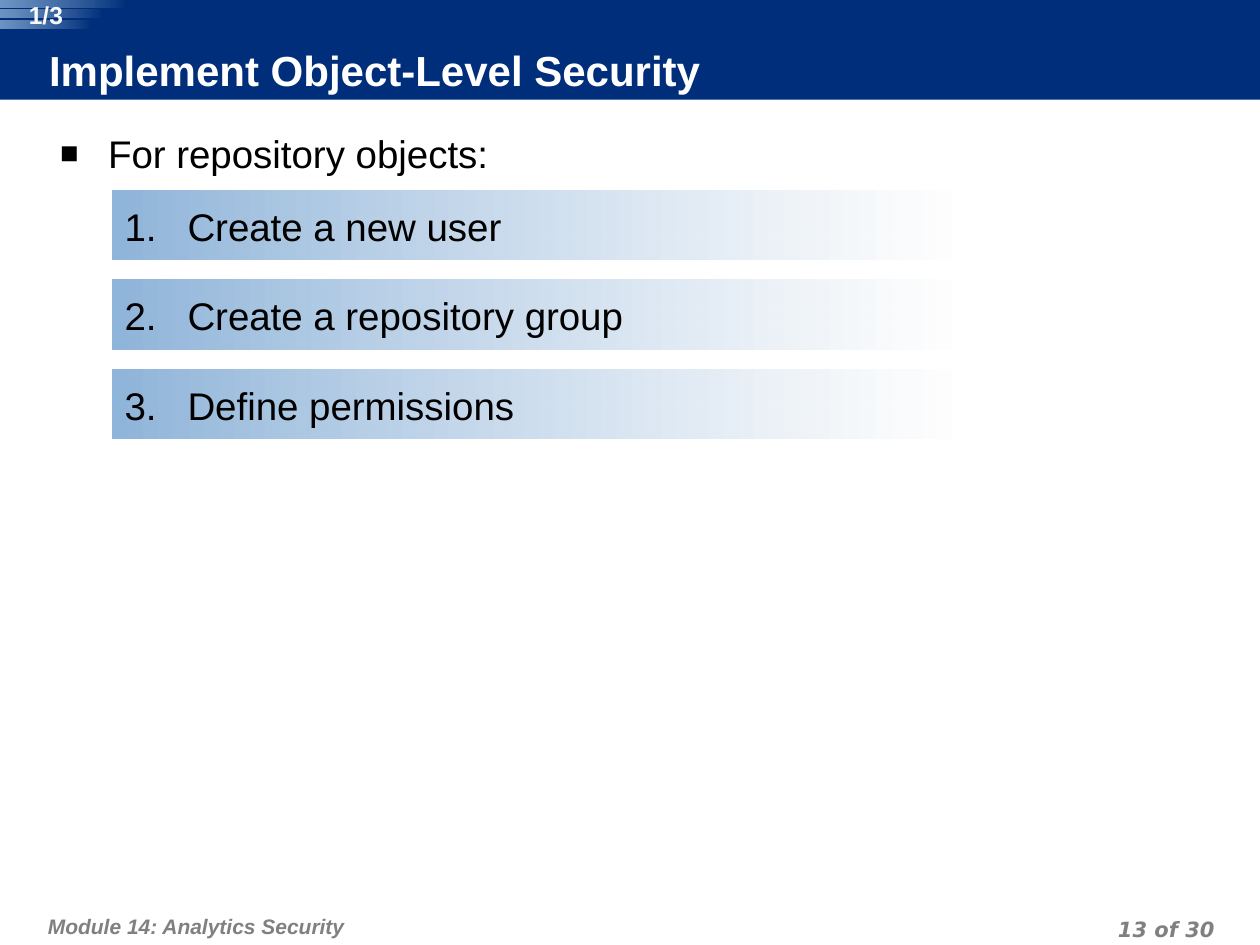
"""Build the object-level security slide with its numbered steps."""
from typing import NamedTuple, Optional

from lxml import etree
from pptx import Presentation
from pptx.dml.color import RGBColor
from pptx.enum.shapes import MSO_SHAPE
from pptx.enum.text import MSO_ANCHOR, PP_ALIGN
from pptx.oxml.ns import qn
from pptx.util import Inches, Pt

RECT, ROUNDED = MSO_SHAPE.RECTANGLE, MSO_SHAPE.ROUNDED_RECTANGLE
TOP, MIDDLE = MSO_ANCHOR.TOP, MSO_ANCHOR.MIDDLE
LEFT, CENTER, RIGHT = PP_ALIGN.LEFT, PP_ALIGN.CENTER, PP_ALIGN.RIGHT

NAVY = RGBColor(0x00, 0x2E, 0x7A)
SKY = RGBColor(0x90, 0xB5, 0xDA)
PALE = RGBColor(0xFE, 0xFE, 0xFE)
WHITE = RGBColor(0xFF, 0xFF, 0xFF)
OFF_WHITE = RGBColor(0xF8, 0xF8, 0xF8)
GRAY = RGBColor(0x80, 0x80, 0x80)
BLACK = RGBColor(0x00, 0x00, 0x00)

STEPS = ["Create a new user", "Create a repository group", "Define permissions"]
STEP_TOP, STEP_PITCH = 1.51, 0.71


class Box(NamedTuple):
    """Position and size in inches."""
    left: float
    top: float
    width: float
    height: float

    def lengths(self) -> list:
        """Return the four values as lengths."""
        return [Inches(v) for v in self]


class Stop(NamedTuple):
    """Gradient colour with its opacity in percent."""
    color: RGBColor
    opacity: int = 100


class Bullet(NamedTuple):
    """Bullet character or automatic number, with its hanging indent."""
    indent: float
    char: Optional[str] = None
    size: int = 100
    start: int = 1


STRIPES = [Box(0, 0, 1.01, 0.06), Box(0, 0.08, 0.82, 0.06), Box(0, 0.16, 0.73, 0.07)]


def add_bullet(p, bullet: Bullet) -> None:
    """Give a paragraph a hanging bullet or number."""
    pPr = p._p.get_or_add_pPr()
    pPr.set("marL", str(Inches(bullet.indent)))
    pPr.set("indent", str(-Inches(bullet.indent)))
    color = etree.SubElement(pPr, qn("a:buClr"))
    etree.SubElement(color, qn("a:srgbClr"), val=str(BLACK))
    etree.SubElement(pPr, qn("a:buSzPct"), val=str(bullet.size * 1000))
    etree.SubElement(pPr, qn("a:buFont"), typeface="Arial")
    if bullet.char:
        etree.SubElement(pPr, qn("a:buChar"), char=bullet.char)
    else:
        etree.SubElement(pPr, qn("a:buAutoNum"), type="arabicPeriod",
                         startAt=str(bullet.start))


def set_text(sp, text: str, *, size: int, color: RGBColor = BLACK, font: str = "Arial",
             bold: bool = False, italic: bool = False, align: PP_ALIGN = LEFT,
             anchor: MSO_ANCHOR = TOP, insets: tuple = (0.1, 0.1, 0.1, 0.05),
             line: Optional[int] = None, bullet: Optional[Bullet] = None) -> None:
    """Write one formatted paragraph into a shape."""
    tf = sp.text_frame
    tf.word_wrap = True
    tf.vertical_anchor = anchor
    tf.margin_left, tf.margin_top, tf.margin_right, tf.margin_bottom = map(Inches, insets)
    p = tf.paragraphs[0]
    p.alignment = align
    if line:
        p.line_spacing = Pt(line)
    if bullet:
        add_bullet(p, bullet)
    r = p.add_run()
    r.text = text
    r.font.name, r.font.size = font, Pt(size)
    r.font.bold, r.font.italic = bold, italic
    r.font.color.rgb = color


def add_text(shapes, box: Box, text: str, **fmt) -> None:
    """Add a text box."""
    set_text(shapes.add_textbox(*box.lengths()), text, **fmt)


def add_gradient_bar(shapes, box: Box, stops: tuple):
    """Add a square-cornered bar whose first stop lies at the right."""
    sp = shapes.add_shape(ROUNDED, *box.lengths())
    sp.adjustments[0] = 0
    sp.shadow.inherit = False
    sp.line.fill.background()
    sp.fill.gradient()
    sp.fill.gradient_angle = 180
    for target, stop in zip(sp.fill.gradient_stops, stops):
        target.color.rgb = stop.color
    for clr, stop in zip(sp._element.spPr.iter(qn("a:srgbClr")), stops):
        if stop.opacity < 100:
            etree.SubElement(clr, qn("a:alpha"), val=str(stop.opacity * 1000))
    return sp


def main() -> None:
    """Build and save the slide."""
    prs = Presentation()
    prs.slide_width, prs.slide_height = Inches(10), Inches(7.5)
    shapes = prs.slides.add_slide(prs.slide_layouts[6]).shapes

    banner = shapes.add_shape(RECT, *Box(0, 0, 10, 0.79).lengths())
    banner.shadow.inherit = False
    banner.fill.solid()
    banner.fill.fore_color.rgb = NAVY
    banner.line.fill.background()

    footer = dict(size=12, color=GRAY, bold=True, italic=True, line=18)
    add_text(shapes, Box(0.33, 7.1, 6.18, 0.4), "Module 14: Analytics Security",
             insets=(0.05, 0.1, 0.05, 0.05), **footer)
    add_text(shapes, Box(7.36, 7.22, 2.33, 0.25), "13 of 30", font="DejaVu Sans",
             align=RIGHT, insets=(0.05, 0, 0.05, 0), **footer)

    add_text(shapes, Box(0.39, 0.38, 7.87, 0.4), "Implement Object-Level Security",
             size=24, color=WHITE, bold=True, anchor=MIDDLE, insets=(0, 0, 0.05, 0.05))
    add_text(shapes, Box(0.38, 0.93, 9.3, 6.18), "For repository objects:", size=22,
             bullet=Bullet(0.38, "■", 80))

    for i, step in enumerate(STEPS):
        box = Box(0.89, STEP_TOP + i * STEP_PITCH, 6.66, 0.55)
        bar = add_gradient_bar(shapes, box, (Stop(PALE, 75), Stop(SKY)))
        set_text(bar, step, size=22, bullet=Bullet(0.5, start=i + 1))

    counter = shapes.add_group_shape().shapes
    for box in STRIPES:
        add_gradient_bar(counter, box, (Stop(NAVY), Stop(SKY, 76)))
    add_text(counter, Box(0.11, 0, 0.51, 0.23), "1/3", size=14, color=OFF_WHITE,
             bold=True, align=CENTER, insets=(0, 0, 0, 0))

    prs.save("out.pptx")


if __name__ == "__main__":
    main()
